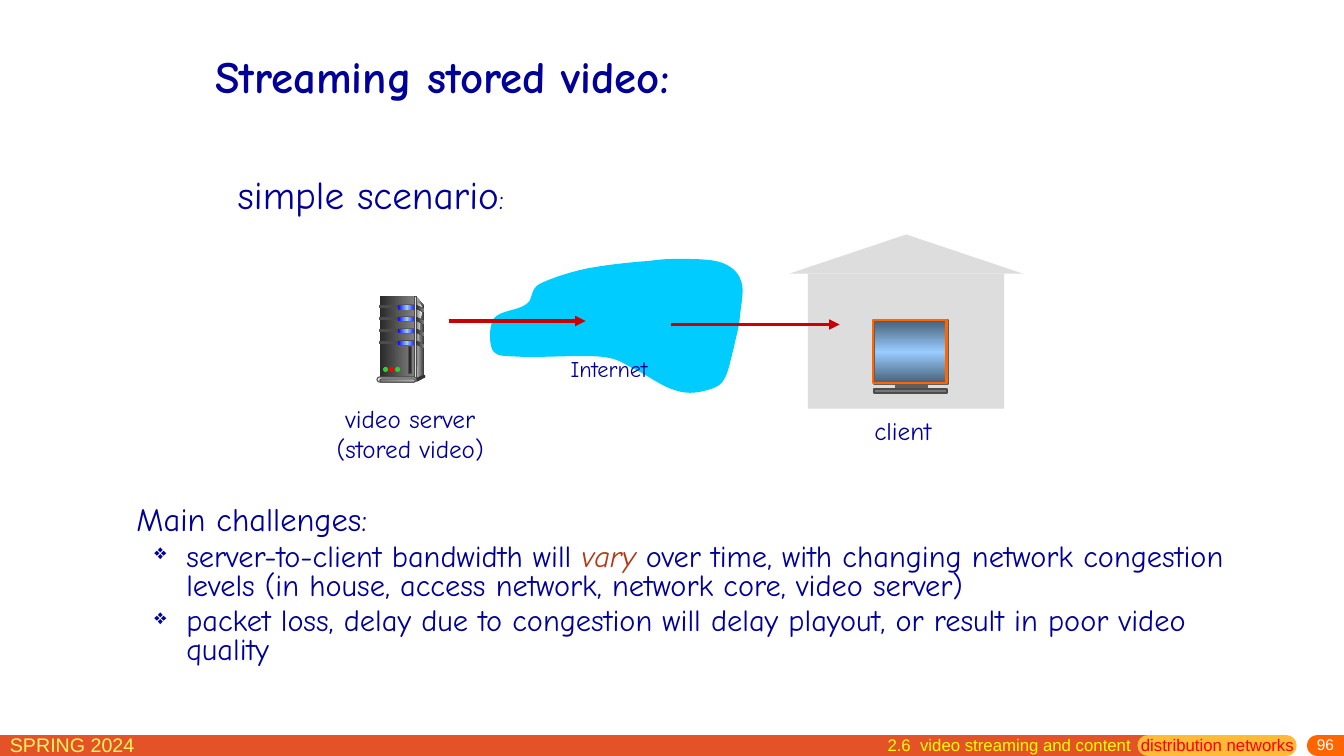
import dataclasses

import lxml.etree
import pptx
import pptx.dml.color
import pptx.enum.shapes
import pptx.enum.text
import pptx.oxml.ns
import pptx.util

Pt = pptx.util.Pt
qn = pptx.oxml.ns.qn
Shape = pptx.enum.shapes.MSO_SHAPE
Align = pptx.enum.text.PP_ALIGN
Anchor = pptx.enum.text.MSO_ANCHOR


@dataclasses.dataclass(frozen=True)
class Theme:
    font: str = "Comic Neue"
    footer_font: str = "Arial"
    bullet_font: str = "OpenSymbol"
    ink: str = "000099"
    emphasis: str = "B23B16"
    arrow: str = "CC0000"
    cloud: str = "00CCFF"
    house: str = "DDDDDD"
    frame: str = "FF6600"
    screen: tuple = ("475E76", "99CCFF", "475E76")
    stand: str = "5F5F5F"
    stand_base: str = "777777"
    metal: str = "4C4C4C"
    dark: str = "333333"
    black: str = "292929"
    steel: tuple = ("292929", "808080")
    side: tuple = ("DDDDDD", "333333")
    shine: tuple = ("808080", "F8F8F8")
    post: tuple = ("333333", "DDDDDD", "333333")
    base: tuple = ("777777", "B2B2B2")
    light: tuple = ("0000FF", "99CCFF", "0000FF")
    green: str = "33CC33"
    red: str = "FF0000"
    footer: str = "E45327"
    footer_marker: str = "FFBA37"
    footer_term: str = "FFF65C"
    footer_text: str = "FFFF00"
    white: str = "FFFFFF"
    title_size: float = 32
    subtitle_size: float = 28
    colon_size: float = 20
    heading_size: float = 23.2
    bullet_size: float = 21.7
    label_size: float = 18
    small_label_size: float = 16
    term_size: float = 14
    section_size: float = 12
    number_size: float = 11


def rgb(colour):
    return pptx.dml.color.RGBColor.from_string(colour)


class SlideBuilder:
    def __init__(self, slide, theme):
        self.slide = slide
        self.shapes = slide.shapes
        self.theme = theme

    def paint(self, shape, fill, line=None, weight=0.75, angle=0):
        """Fill with one colour, a gradient given as a tuple, or nothing."""
        shape.shadow.inherit = False
        if fill is None:
            shape.fill.background()
        elif isinstance(fill, tuple):
            shape.fill.gradient()
            shape.fill.gradient_angle = angle
            stops = shape.element.spPr.find(".//" + qn("a:gsLst"))
            for stop in list(stops):
                stops.remove(stop)
            for index, colour in enumerate(fill):
                position = str(100000 * index // (len(fill) - 1))
                stop = lxml.etree.SubElement(stops, qn("a:gs"), pos=position)
                lxml.etree.SubElement(stop, qn("a:srgbClr"), val=colour)
        else:
            shape.fill.solid()
            shape.fill.fore_color.rgb = rgb(fill)
        if line:
            shape.line.color.rgb = rgb(line)
            shape.line.width = Pt(weight)
        else:
            shape.line.fill.background()

    def preset(self, kind, box, fill, **style):
        shape = self.shapes.add_shape(kind, *map(Pt, box))
        if kind == Shape.ROUNDED_RECTANGLE:
            shape.adjustments[0] = 0.5
        self.paint(shape, fill, **style)

    def outline(self, start, segments, fill, line=None):
        """Draw a closed outline; two numbers make a line, six a curve."""
        points = [(Pt(x), Pt(y)) for segment in segments
                  for x, y in zip(segment[::2], segment[1::2])]
        builder = self.shapes.build_freeform(Pt(start[0]), Pt(start[1]), scale=1.0)
        builder.add_line_segments(points, close=True)
        shape = builder.convert_to_shape()
        steps = iter(shape.element.spPr.findall(".//" + qn("a:lnTo")))
        for segment in segments:
            step = next(steps)
            if len(segment) == 6:
                curve = lxml.etree.Element(qn("a:cubicBezTo"))
                step.addprevious(curve)
                for corner in (step, next(steps), next(steps)):
                    curve.append(corner[0])
                    corner.getparent().remove(corner)
        self.paint(shape, fill, line=line)

    def line(self, left, right, y, colour, weight, cap="flat", arrow=False):
        connector = self.shapes.add_connector(
            pptx.enum.shapes.MSO_CONNECTOR.STRAIGHT, Pt(left), Pt(y), Pt(right), Pt(y))
        connector.line.color.rgb = rgb(colour)
        connector.line.width = Pt(weight)
        properties = connector.element.spPr
        stroke = properties.find(qn("a:ln"))
        stroke.set("cap", cap)
        if arrow:
            lxml.etree.SubElement(stroke, qn("a:tailEnd"), type="triangle")
        lxml.etree.SubElement(properties, qn("a:effectLst"))

    def text(self, box, paragraphs, size, colour=None, font=None, bold=False,
             align=Align.LEFT, anchor=Anchor.TOP, wrap=True, top=3.6, spacing=None,
             before=0, indents=None, tabs=()):
        """Each paragraph is a string or a list of (text, format) runs.

        indents gives (margin, first line) per paragraph; hanging ones get a bullet.
        """
        frame = self.shapes.add_textbox(*map(Pt, box)).text_frame
        frame.word_wrap = wrap
        if not wrap:
            frame.auto_size = pptx.enum.text.MSO_AUTO_SIZE.SHAPE_TO_FIT_TEXT
        frame.vertical_anchor = anchor
        frame.margin_top = Pt(top)
        for index, content in enumerate(paragraphs):
            paragraph = frame.add_paragraph() if index else frame.paragraphs[0]
            properties = paragraph._p.get_or_add_pPr()
            if indents:
                margin, first = indents[index]
                properties.set("marL", str(Pt(margin)))
                properties.set("indent", str(Pt(first)))
                if first < 0:
                    lxml.etree.SubElement(properties, qn("a:buSzPct"), val="70000")
                    lxml.etree.SubElement(properties, qn("a:buFont"),
                                          typeface=self.theme.bullet_font)
                    lxml.etree.SubElement(properties, qn("a:buChar"), char="❖")
            if tabs:
                stops = lxml.etree.SubElement(properties, qn("a:tabLst"))
                for tab in tabs:
                    lxml.etree.SubElement(stops, qn("a:tab"), pos=str(Pt(tab)), algn="l")
            paragraph.alignment = align
            if spacing:
                paragraph.line_spacing = spacing
            if index and before:
                paragraph.space_before = Pt(before)
            for words, style in [(content, {})] if isinstance(content, str) else content:
                run = paragraph.add_run()
                run.text = words
                run.font.name = font or self.theme.font
                run.font.size = Pt(style.get("size", size))
                run.font.bold = bold
                run.font.italic = style.get("italic", False)
                run.font.color.rgb = rgb(style.get("colour", colour or self.theme.ink))


def draw_footer(builder):
    theme = builder.theme
    for left, right, colour, cap in ((0, 820, theme.footer, "flat"),
                                     (820, 918.7, theme.footer_marker, "rnd"),
                                     (941, 960, theme.frame, "rnd")):
        builder.line(left, right, 532.5, colour, 15, cap=cap)
    builder.text((0, 519.8, 165, 22.3), ["SPRING 2024"], theme.term_size,
                 theme.footer_term, theme.footer_font)
    builder.text((774, 527, 186, 13), ["96"], theme.number_size, theme.white,
                 theme.footer_font, align=Align.RIGHT, anchor=Anchor.MIDDLE, top=0)
    builder.text((626.85, 521.3, 312, 22.3),
                 [[("2.6\tvideo streaming and content\t", {}),
                   ("distribution networks", {"colour": theme.red})]],
                 theme.section_size, theme.footer_text, theme.footer_font, tabs=(23.3, 181))


def draw_server(builder):
    theme = builder.theme
    rectangle, pill, oval = Shape.RECTANGLE, Shape.ROUNDED_RECTANGLE, Shape.OVAL
    builder.outline((297.4, 211.7), [(303.1, 218.9), (303.1, 267.8), (295.9, 270.7)], theme.side)
    builder.preset(rectangle, (271.4, 211.7, 24.5, 59), theme.steel)
    builder.outline((297.4, 215.3), [(297.4, 215.3, 298.8, 216, 301.7, 219.6),
                                     (297.4, 241.9, 298.1, 270, 297.4, 269.3)], theme.shine)
    row_tops = [218.2 + 8.5 * row for row in range(4)]
    for y in row_tops:
        builder.preset(rectangle, (271.4, y, 13.7, 1.4), theme.metal, line=theme.metal)
        builder.preset(pill, (283.7, y - 0.7, 13.7, 3.6), theme.metal)
        builder.preset(pill, (284.2, y, 13, 2.9), theme.light)
    builder.preset(rectangle, (295.9, 211.7, 1.4, 59), theme.post, line=theme.metal)
    for y in row_tops:
        builder.outline((297, y), [(298.4, y, 300.6, y + 1.4, 303.1, y + 2.9),
                                   (303.1, y + 3.6, 303.1, y + 3.6, 303.1, y + 5),
                                   (303.1, y + 5, 300.2, y + 3.6, 297, y + 2.2),
                                   (297, y + 1.4, 297, y + 0.7, 297, y)], theme.steel)
    builder.preset(oval, (302.4, 267.8, 1.4, 2.2), theme.dark)
    builder.outline((297.4, 270), [(297.4, 272.9), (303.1, 270), (302.4, 267.8)], theme.dark)
    builder.preset(pill, (269.3, 269.3, 28.1, 3.6), theme.house, line=theme.metal)
    builder.preset(pill, (271.4, 270.7, 25.2, 2.2), theme.base, line=theme.metal)
    for index, colour in enumerate((theme.green, theme.red, theme.green)):
        builder.preset(oval, (273.6 + 4.3 * index, 262.1, 3.6, 3.6), colour)
    builder.preset(rectangle, (291.6, 247.7, 2.2, 19.4), theme.black, line=theme.metal)


def draw_patches(builder):
    white = builder.theme.white
    builder.outline((255.6, 183.6), [
        (257.8, 198), (262.1, 198), (263.5, 197.3), (267.8, 198.7), (281.5, 198), (283.7, 198.7),
        (295.2, 199.4), (316.8, 200.2), (335.5, 199.4), (334.8, 190.1), (272.2, 183.6)],
        white, line=white)
    builder.outline((271.4, 205.9), [
        (311.8, 205.9), (313.2, 206.6), (316.8, 206.6), (321.1, 205.9), (324, 205.2),
        (326.9, 205.9), (328.3, 207.4), (327.6, 210.2), (272.2, 210.2)], white, line=white)


def draw_client(builder):
    theme = builder.theme
    parts = [((624.5, 228.7, 52.6, 45.4), theme.screen, theme.stand),
             ((640.1, 274.3, 22.3, 2.9), theme.stand, theme.stand),
             ((624.5, 277.9, 51.8, 2.9), theme.stand_base, theme.metal),
             ((623.5, 228.7, 52.6, 44.6), None, theme.frame)]
    for box, fill, line in parts:
        builder.preset(Shape.RECTANGLE, box, fill, line=line, weight=1.5, angle=90)


def draw_network(builder):
    theme = builder.theme
    builder.outline((463, 186.5), [
        (452.2, 187.2, 430.6, 189.4, 417.6, 192.2), (404.6, 195.1, 392.4, 199.4, 385.2, 203),
        (378, 207.4, 381.6, 213.8, 375.8, 217.4), (370.1, 221.8, 357.1, 221.8, 352.8, 227.5),
        (349.2, 232.6, 349.2, 246.2, 352.1, 250.6), (355.7, 254.9, 359.3, 254.2, 372.2, 254.9),
        (385.2, 255.6, 416.2, 253.4, 429.8, 254.9), (443.5, 256.3, 445.7, 260.6, 454.3, 264.2),
        (463, 268.6, 473.8, 276.5, 481.7, 278.6), (489.6, 281.5, 496.8, 280.8, 502.6, 279.4),
        (508.3, 277.9, 514.1, 276.5, 517, 271.4), (520.6, 265.7, 522, 256.3, 524.2, 248.4),
        (525.6, 241.2, 527.8, 234.7, 528.5, 226.8), (529.2, 218.2, 532.1, 206.6, 529.2, 200.2),
        (527, 193.7, 521.3, 189.4, 514.1, 187.2), (506.9, 185, 494.6, 185, 486, 185),
        (477.4, 185, 474.5, 185, 463, 186.5)], theme.cloud)
    builder.line(320.4, 418.3, 229.3, theme.arrow, 2.5, arrow=True)
    builder.line(479.2, 599.8, 231.8, theme.arrow, 2.5, arrow=True)


def draw_text(builder):
    theme = builder.theme
    builder.text((146.9, 8.7, 612, 90), ["Streaming stored video:"], theme.title_size,
                 bold=True, anchor=Anchor.MIDDLE)
    builder.text((162.7, 118.1, 220.3, 41), [[("simple scenario", {}),
                 (":", {"size": theme.colon_size})]], theme.subtitle_size, wrap=False)
    builder.text((226.1, 284.4, 133.9, 51.1), ["video server", "(stored video)"],
                 theme.label_size, align=Align.CENTER, wrap=False)
    builder.text((617.4, 293, 61.9, 28.8), ["client"], theme.label_size, wrap=False)
    builder.text((400.5, 249.8, 80.6, 26.6), ["Internet"], theme.small_label_size, wrap=False)
    builder.text((88.6, 358.6, 810.7, 155.5), [
        [("Main challenges:", {"size": theme.heading_size})],
        [("server-to-client bandwidth will ", {}),
         ("vary", {"colour": theme.emphasis, "italic": True}),
         (" over time, with changing network congestion levels "
          "(in house, access network, network core, video server)", {})],
        "packet loss, delay due to congestion will delay playout, or result in poor video quality",
    ], theme.bullet_size, spacing=0.8, before=4.2, indents=[(1.8, 0), (37.4, -22.8), (37.4, -22.8)])


def main():
    presentation = pptx.Presentation()
    presentation.slide_width, presentation.slide_height = Pt(960), Pt(540)
    builder = SlideBuilder(presentation.slides.add_slide(presentation.slide_layouts[6]), Theme())
    draw_footer(builder)
    builder.preset(Shape.ISOSCELES_TRIANGLE, (563.8, 167.5, 167, 28), builder.theme.house)
    builder.preset(Shape.RECTANGLE, (577, 195.4, 140.3, 96.6), builder.theme.house)
    for draw in (draw_server, draw_patches, draw_client, draw_network, draw_text):
        draw(builder)
    presentation.save("out.pptx")


if __name__ == "__main__":
    main()
